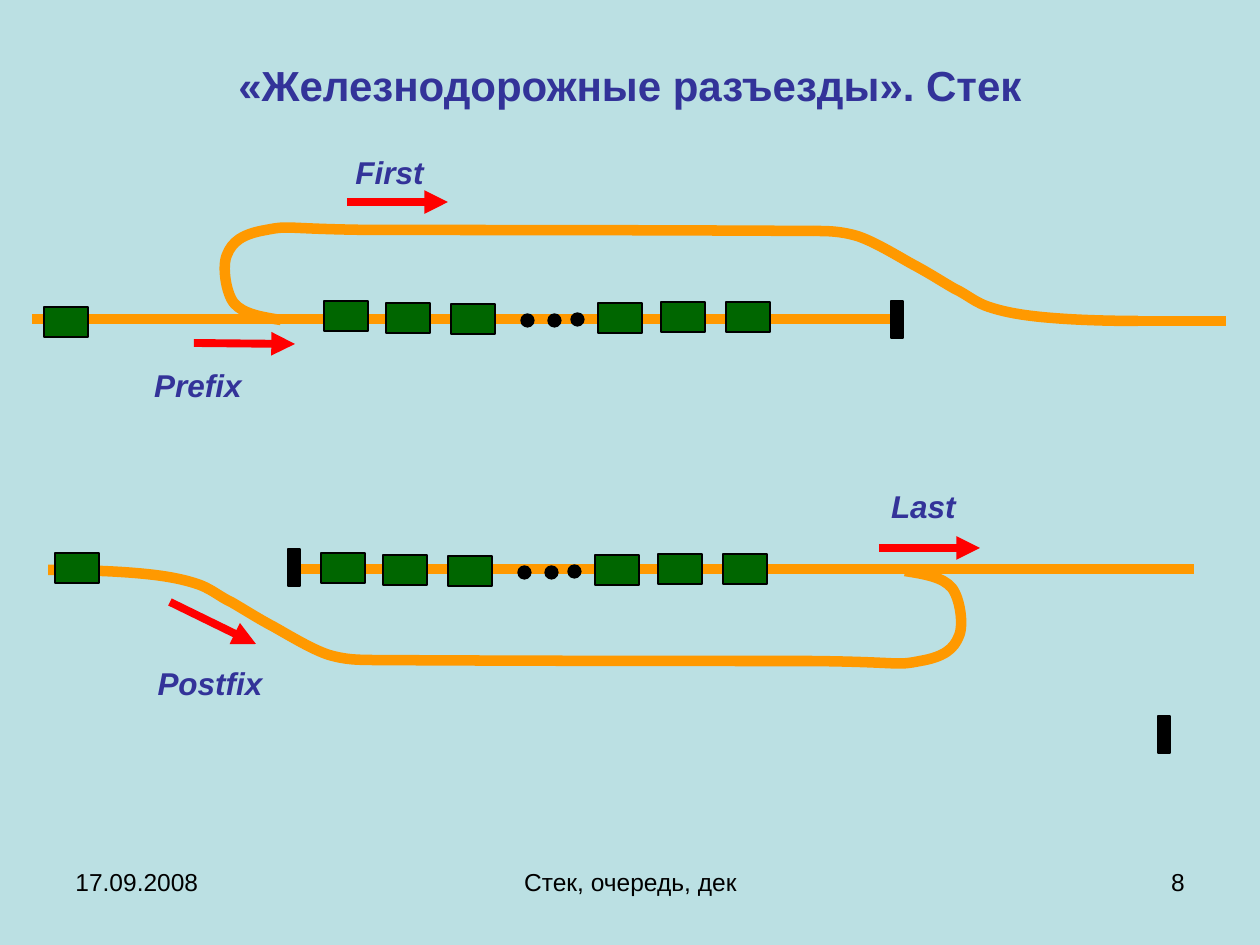
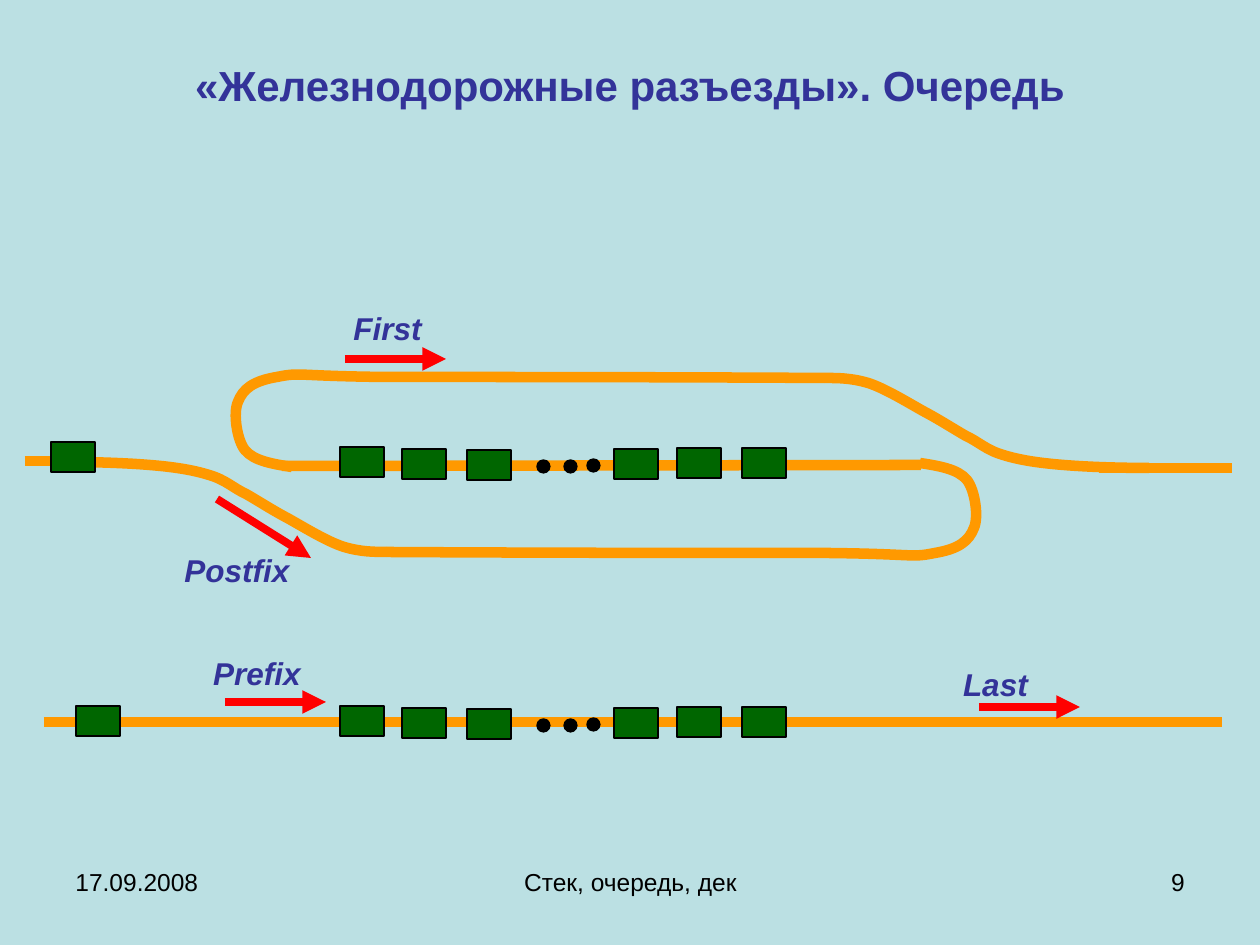
"""Build two slides on stacks and queues drawn as railway sidings."""
from dataclasses import dataclass

from lxml import etree
from pptx import Presentation
from pptx.dml.color import RGBColor
from pptx.enum.shapes import MSO_CONNECTOR, MSO_SHAPE
from pptx.enum.text import MSO_ANCHOR, MSO_AUTO_SIZE, PP_ALIGN
from pptx.oxml.ns import qn
from pptx.util import Emu, Pt

STRAIGHT = MSO_CONNECTOR.STRAIGHT
RECTANGLE, OVAL = MSO_SHAPE.RECTANGLE, MSO_SHAPE.OVAL
LEFT, CENTER, RIGHT = PP_ALIGN.LEFT, PP_ALIGN.CENTER, PP_ALIGN.RIGHT
MIDDLE = MSO_ANCHOR.MIDDLE
GROW = MSO_AUTO_SIZE.SHAPE_TO_FIT_TEXT
TITLE_ONLY = 5

EMU_PER_PX = 914400 / 126
FONT = "Arial"
SKY, INDIGO, ORANGE = "BBE0E3", "333399", "FF9900"
GREEN, RED, BLACK = "006600", "FF0000", "000000"

Point = tuple[int, int]

CAR_SIZE = (44, 30)
DOT_SIZE = (13, 13)
STOP_SIZE = (12, 37)
CAR_OFFSETS = [(0, 0), (62, 2), (127, 3), (274, 2), (337, 1), (402, 1)]
DOT_OFFSETS = [(197, 13), (224, 13), (247, 12)]

LOOP = [
    (-533, 89), (-552, 86), (-571, 83), (-580, 72), (-588, 62), (-592, 35),
    (-587, 24), (-582, 11), (-572, 3), (-548, -1), (-523, -6), (-532, -2),
    (-440, -1), (-349, -1), (-175, -1), (0, 0),
]
BRANCH = [
    (0, 0), (13, 0), (26, 0), (43, 5), (59, 10), (82, 24), (98, 33),
    (115, 42), (127, 50), (141, 58), (154, 64), (161, 72), (178, 77),
    (194, 82), (213, 85), (238, 87), (262, 89), (293, 90), (324, 90),
]


@dataclass(frozen=True)
class Segment:
    """A straight line between two points."""
    start: Point
    end: Point


@dataclass(frozen=True)
class Siding:
    """A loop and a branch that meet at a joint, turned around if direction is -1."""
    joint: Point
    direction: int = 1


@dataclass(frozen=True)
class Pointer:
    """A named red arrow beside the track."""
    name: str
    place: Point
    width: int
    arrow: Segment


@dataclass(frozen=True)
class Yard:
    """Everything that one slide shows."""
    title: str
    number: int
    tracks: list[Segment]
    sidings: list[Siding]
    trains: list[Point]
    single_cars: list[Point]
    stops: list[Point]
    pointers: list[Pointer]


YARDS = [
    Yard(
        title="«Железнодорожные разъезды». Стек",
        number=8,
        tracks=[
            Segment((292, 569), (1194, 569)),
            Segment((32, 319), (896, 319)),
            Segment((1130, 321), (1226, 321)),
        ],
        sidings=[Siding((814, 231)), Siding((372, 660), -1)],
        trains=[(324, 301), (321, 553)],
        single_cars=[(44, 307), (55, 553)],
        stops=[(891, 301), (288, 549), (1158, 716)],
        pointers=[
            Pointer("First", (342, 147), 95, Segment((347, 202), (448, 202))),
            Pointer("Prefix", (141, 360), 114, Segment((194, 343), (295, 344))),
            Pointer("Last", (878, 481), 91, Segment((879, 548), (980, 548))),
            Pointer("Postfix", (144, 658), 132, Segment((170, 602), (256, 644))),
        ],
    ),
    Yard(
        title="«Железнодорожные разъезды». Очередь",
        number=9,
        tracks=[
            Segment((44, 722), (1222, 722)),
            Segment((282, 466), (921, 465)),
            Segment((1099, 468), (1232, 468)),
            Segment((25, 461), (89, 461)),
        ],
        sidings=[Siding((825, 378)), Siding((387, 552), -1)],
        trains=[(340, 447), (340, 706)],
        single_cars=[(51, 442), (76, 706)],
        stops=[],
        pointers=[
            Pointer("First", (340, 303), 95, Segment((345, 359), (446, 359))),
            Pointer("Postfix", (171, 545), 132, Segment((217, 499), (311, 558))),
            Pointer("Prefix", (200, 648), 114, Segment((225, 702), (326, 702))),
            Pointer("Last", (950, 659), 91, Segment((979, 707), (1080, 707))),
        ],
    ),
]


def px(length: int) -> Emu:
    """Turn pixels into EMU."""
    return Emu(round(length * EMU_PER_PX))


def color(code: str) -> RGBColor:
    """Turn a hex string into a colour."""
    return RGBColor.from_string(code)


def shift(origin: Point, offset: Point, direction: int = 1) -> Point:
    """Move an offset, possibly turned around, to its origin."""
    return origin[0] + direction * offset[0], origin[1] + direction * offset[1]


def write(frame, text: str, size: int, ink: str, align: PP_ALIGN,
          bold: bool = False, italic: bool = False) -> None:
    """Write one formatted run into a text frame."""
    paragraph = frame.paragraphs[0]
    paragraph.alignment = align
    run = paragraph.add_run()
    run.text = text
    run.font.name = FONT
    run.font.size = Pt(size)
    run.font.bold = bold
    run.font.italic = italic
    run.font.color.rgb = color(ink)


def add_text(slide, place: Point, size: Point):
    """Add a text box and return its frame."""
    return slide.shapes.add_textbox(*map(px, place + size)).text_frame


def add_title(slide, text: str) -> None:
    """Place and fill the title."""
    title = slide.shapes.title
    title.left, title.top, title.width, title.height = map(px, (63, 38, 1134, 93))
    title.text_frame.vertical_anchor = MIDDLE
    write(title.text_frame, text, 24, INDIGO, CENTER, bold=True)


def add_footer(slide, number: int) -> None:
    """Add the date, the lecture name and the slide number."""
    for text, left, width, align in (
        ("17.09.2008", 63, 294, LEFT),
        ("Стек, очередь, дек", 431, 399, CENTER),
        (str(number), 903, 294, RIGHT),
    ):
        frame = add_text(slide, (left, 861), (width, 66))
        frame.word_wrap = True
        write(frame, text, 14, BLACK, align)


def add_line(slide, segment: Segment, ink: str, width: float, arrow: bool = False) -> None:
    """Draw a straight line, with an arrowhead if asked."""
    connector = slide.shapes.add_connector(
        STRAIGHT, *map(px, segment.start + segment.end))
    connector.line.color.rgb = color(ink)
    connector.line.width = Pt(width)
    properties = connector._element.spPr
    if arrow:
        etree.SubElement(properties.find(qn("a:ln")), qn("a:tailEnd"), type="triangle")
    etree.SubElement(properties, qn("a:effectLst"))


def add_curve(slide, points: list[Point]) -> None:
    """Draw a piece of track through cubic curves."""
    start, *controls = [(px(x), px(y)) for x, y in points]
    builder = slide.shapes.build_freeform(*start)
    builder.add_line_segments(controls, close=False)
    curve = builder.convert_to_shape()
    curve.shadow.inherit = False
    curve.fill.background()
    curve.line.color.rgb = color(ORANGE)
    curve.line.width = Pt(6)
    outline = curve._element.spPr.find(".//" + qn("a:path"))
    lines = outline.findall(qn("a:lnTo"))
    for first in range(0, len(lines), 3):
        bend = etree.SubElement(outline, qn("a:cubicBezTo"))
        for line in lines[first:first + 3]:
            bend.append(line[0])
            outline.remove(line)


def add_siding(slide, siding: Siding) -> None:
    """Draw the loop and the branch of a siding."""
    for piece in (LOOP, BRANCH):
        add_curve(slide, [shift(siding.joint, p, siding.direction) for p in piece])


def add_block(slide, kind: MSO_SHAPE, place: Point, size: Point, paint: str) -> None:
    """Draw a filled shape with a thin black outline."""
    block = slide.shapes.add_shape(kind, *map(px, place + size))
    block.shadow.inherit = False
    block.fill.solid()
    block.fill.fore_color.rgb = color(paint)
    block.line.color.rgb = color(BLACK)
    block.line.width = Pt(0.75)


def add_car(slide, place: Point) -> None:
    """Draw one railway car."""
    add_block(slide, RECTANGLE, place, CAR_SIZE, GREEN)


def add_train(slide, origin: Point) -> None:
    """Draw six cars with an ellipsis between the halves."""
    for offset in CAR_OFFSETS:
        add_car(slide, shift(origin, offset))
    for offset in DOT_OFFSETS:
        add_block(slide, OVAL, shift(origin, offset), DOT_SIZE, BLACK)


def add_pointer(slide, pointer: Pointer) -> None:
    """Draw a pointer arrow and its name."""
    add_line(slide, pointer.arrow, RED, 4.5, arrow=True)
    frame = add_text(slide, pointer.place, (pointer.width, 50))
    frame.word_wrap = False
    frame.auto_size = GROW
    write(frame, pointer.name, 18, INDIGO, CENTER, bold=True, italic=True)


def add_yard(deck, yard: Yard) -> None:
    """Add the slide of one yard."""
    slide = deck.slides.add_slide(deck.slide_layouts[TITLE_ONLY])
    add_title(slide, yard.title)
    for track in yard.tracks:
        add_line(slide, track, ORANGE, 6)
    for siding in yard.sidings:
        add_siding(slide, siding)
    for origin in yard.trains:
        add_train(slide, origin)
    for place in yard.single_cars:
        add_car(slide, place)
    for place in yard.stops:
        add_block(slide, RECTANGLE, place, STOP_SIZE, BLACK)
    for pointer in yard.pointers:
        add_pointer(slide, pointer)
    add_footer(slide, yard.number)


def main() -> None:
    """Build and save the deck."""
    deck = Presentation()
    deck.slide_width, deck.slide_height = px(1260), px(945)
    backdrop = deck.slide_master.background.fill
    backdrop.solid()
    backdrop.fore_color.rgb = color(SKY)
    for yard in YARDS:
        add_yard(deck, yard)
    deck.save("out.pptx")


if __name__ == "__main__":
    main()
